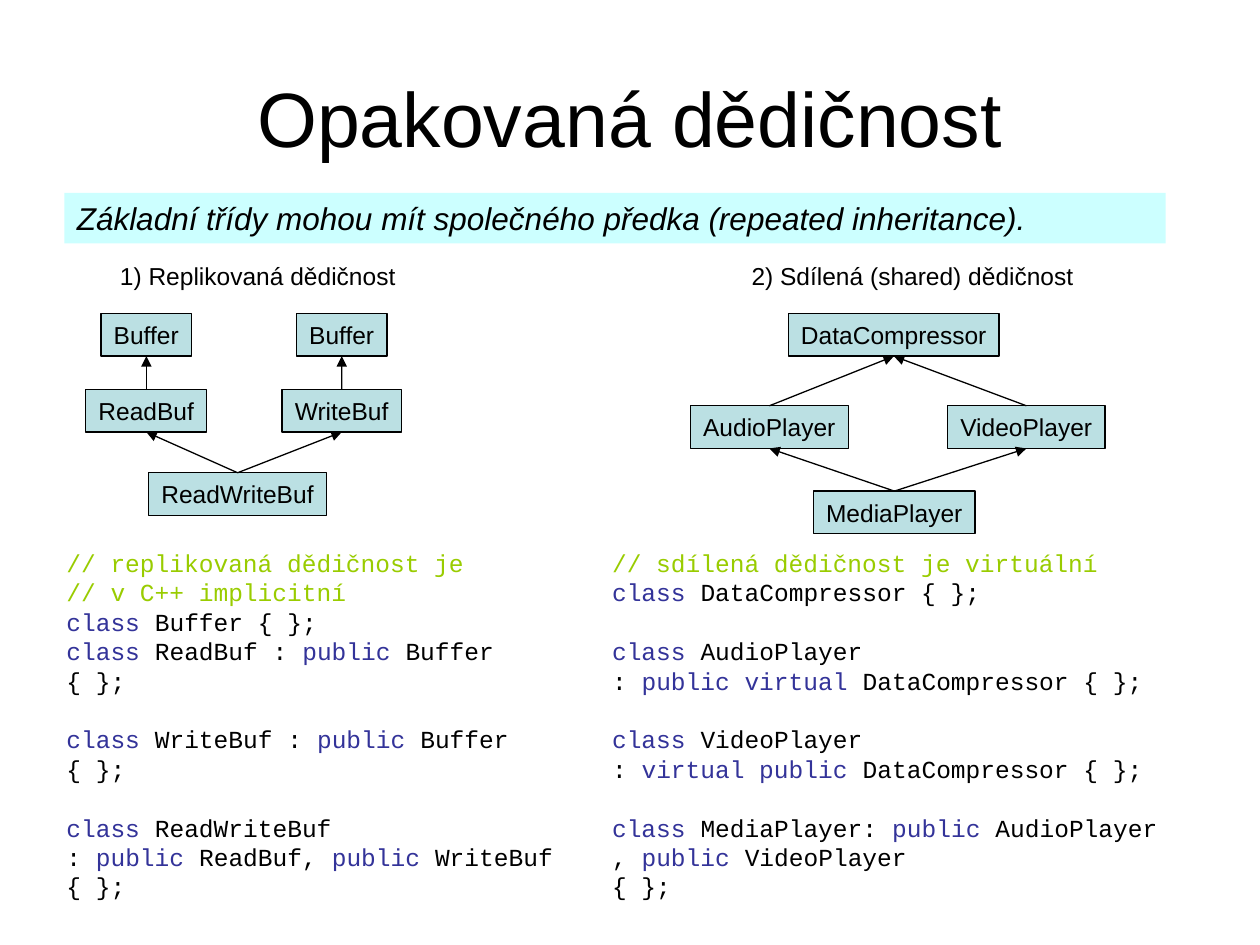
from dataclasses import dataclass
from itertools import groupby

from lxml import etree
from pptx import Presentation
from pptx.dml.color import RGBColor
from pptx.enum import shapes, text
from pptx.oxml import ns
from pptx.util import Cm, Pt

BLACK, NODE_FILL, BANNER_FILL = "000000", "BBE0E3", "CCFFFF"
COMMENT, KEYWORD = "99CC00", "333399"
KEYWORDS = {"class", "public", "virtual"}
NODE_HEIGHT = 0.86
CODE_LINE = Pt(16.8)


@dataclass
class Node:
    name: str
    center: float
    top: float
    width: float


@dataclass
class Diagram:
    nodes: list[Node]
    edges: list[tuple[int, int]]  # (derived class, base class)


@dataclass
class Label:
    text: str
    left: float
    top: float
    width: float


DIAGRAMS = [
    Diagram(
        [Node("DataCompressor", 18.02, 6.32, 4.24),
         Node("AudioPlayer", 15.51, 8.18, 3.18),
         Node("VideoPlayer", 20.69, 8.18, 3.18),
         Node("MediaPlayer", 18.03, 9.9, 3.25)],
        [(1, 0), (2, 0), (3, 1), (3, 2)]),
    Diagram(
        [Node("Buffer", 2.95, 6.32, 1.83),
         Node("Buffer", 6.89, 6.32, 1.83),
         Node("ReadBuf", 2.95, 7.85, 2.44),
         Node("WriteBuf", 6.89, 7.85, 2.41),
         Node("ReadWriteBuf", 4.79, 9.53, 3.58)],
        [(4, 2), (4, 3), (2, 0), (3, 1)]),
]

HEADINGS = [
    Label("1) Replikovaná dědičnost", 1.3, 5.13, 7.8),
    Label("2) Sdílená (shared) dědičnost", 14.5, 5.13, 7.8),
]

# A blank line separates groups of code lines.
LISTINGS = [
    Label("""// replikovaná dědičnost je
// v C++ implicitní
class Buffer { };
class ReadBuf : public Buffer
{ };

class WriteBuf : public Buffer
{ };

class ReadWriteBuf
: public ReadBuf, public WriteBuf
{ };""", 1.09, 10.92, 10.39),
    Label("""// sdílená dědičnost je virtuální
class DataCompressor { };

class AudioPlayer
: public virtual DataCompressor { };

class VideoPlayer
: virtual public DataCompressor { };

class MediaPlayer: public AudioPlayer
, public VideoPlayer
{ };""", 12.09, 10.92, 11.99),
]


def rgb(color: str) -> RGBColor:
    return RGBColor.from_string(color)


def add_run(p, content: str, size: float, color: str = BLACK,
            name: str = "Arial", italic: bool = False):
    r = p.add_run()
    r.text = content
    for key, value in {"size": Pt(size), "name": name, "italic": italic}.items():
        setattr(r.font, key, value)
    r.font.color.rgb = rgb(color)


def add_rect(slide, left: float, top: float, width: float, height: float, fill: str):
    sp = slide.shapes.add_shape(shapes.MSO_SHAPE.RECTANGLE,
                                Cm(left), Cm(top), Cm(width), Cm(height))
    sp.shadow.inherit = False
    sp.fill.solid()
    sp.fill.fore_color.rgb = rgb(fill)
    return sp


def add_banner(slide, content: str):
    sp = add_rect(slide, 1.3, 3.89, 22.2, 1.02, BANNER_FILL)
    sp.line.fill.background()
    tf = sp.text_frame
    tf.vertical_anchor = text.MSO_ANCHOR.TOP
    tf.paragraphs[0].alignment = text.PP_ALIGN.LEFT
    add_run(tf.paragraphs[0], content, 18, italic=True)


def add_node(slide, node: Node):
    sp = add_rect(slide, node.center - node.width / 2, node.top,
                  node.width, NODE_HEIGHT, NODE_FILL)
    sp.line.color.rgb = rgb(BLACK)
    sp.line.width = Pt(0.75)
    tf = sp.text_frame
    tf.word_wrap = False
    tf.vertical_anchor = text.MSO_ANCHOR.MIDDLE
    tf.paragraphs[0].alignment = text.PP_ALIGN.CENTER
    add_run(tf.paragraphs[0], node.name, 14)
    return sp


def add_arrow(slide, derived, base):
    """Join the top of the derived class to the bottom of its base."""
    line = slide.shapes.add_connector(shapes.MSO_CONNECTOR.STRAIGHT, 0, 0, 0, 0)
    line.begin_connect(derived, 0)
    line.end_connect(base, 2)
    line.line.color.rgb = rgb(BLACK)
    line.line.width = Pt(0.75)
    etree.SubElement(line.line._get_or_add_ln(), ns.qn("a:tailEnd"), type="triangle")
    etree.SubElement(line._element.spPr, ns.qn("a:effectLst"))


def add_diagram(slide, diagram: Diagram):
    boxes = [add_node(slide, node) for node in diagram.nodes]
    for derived, base in diagram.edges:
        add_arrow(slide, boxes[derived], boxes[base])


def add_text_frame(slide, label: Label, height: float):
    tf = slide.shapes.add_textbox(Cm(label.left), Cm(label.top),
                                  Cm(label.width), Cm(height)).text_frame
    tf.word_wrap = True
    return tf


def add_heading(slide, label: Label):
    p = add_text_frame(slide, label, NODE_HEIGHT).paragraphs[0]
    p.alignment = text.PP_ALIGN.CENTER
    add_run(p, label.text, 14)


def add_code_line(p, line: str):
    if line.startswith("//"):
        add_run(p, line, 14, COMMENT, "Courier New")
        return
    words = line.replace(" ", " \n").split("\n")
    for is_keyword, group in groupby(words, lambda word: word.strip() in KEYWORDS):
        add_run(p, "".join(group), 14, KEYWORD if is_keyword else BLACK, "Courier New")


def add_listing(slide, label: Label):
    tf = add_text_frame(slide, label, 7.37)
    p = tf.paragraphs[0]
    for i, block in enumerate(label.text.split("\n\n")):
        for j, line in enumerate(block.split("\n")):
            if i or j:
                p = tf.add_paragraph()
            p.line_spacing = CODE_LINE
            p.space_before = CODE_LINE if i and not j else Pt(0)
            add_code_line(p, line)


def add_title(slide, content: str):
    title = slide.shapes.title
    box = {"left": 1.27, "top": 0.76, "width": 22.86, "height": 3.18}
    for key, value in box.items():
        setattr(title, key, Cm(value))
    tf = title.text_frame
    tf.vertical_anchor = text.MSO_ANCHOR.MIDDLE
    tf.paragraphs[0].alignment = text.PP_ALIGN.CENTER
    add_run(tf.paragraphs[0], content, 44)


def main():
    prs = Presentation()
    prs.slide_width, prs.slide_height = Cm(25.4), Cm(19.05)
    slide = prs.slides.add_slide(prs.slide_layouts[5])
    add_title(slide, "Opakovaná dědičnost")
    add_banner(slide, "Základní třídy mohou mít společného předka (repeated inheritance).")
    for diagram in DIAGRAMS:
        add_diagram(slide, diagram)
    for heading in HEADINGS:
        add_heading(slide, heading)
    for listing in LISTINGS:
        add_listing(slide, listing)
    prs.save("out.pptx")


if __name__ == "__main__":
    main()
